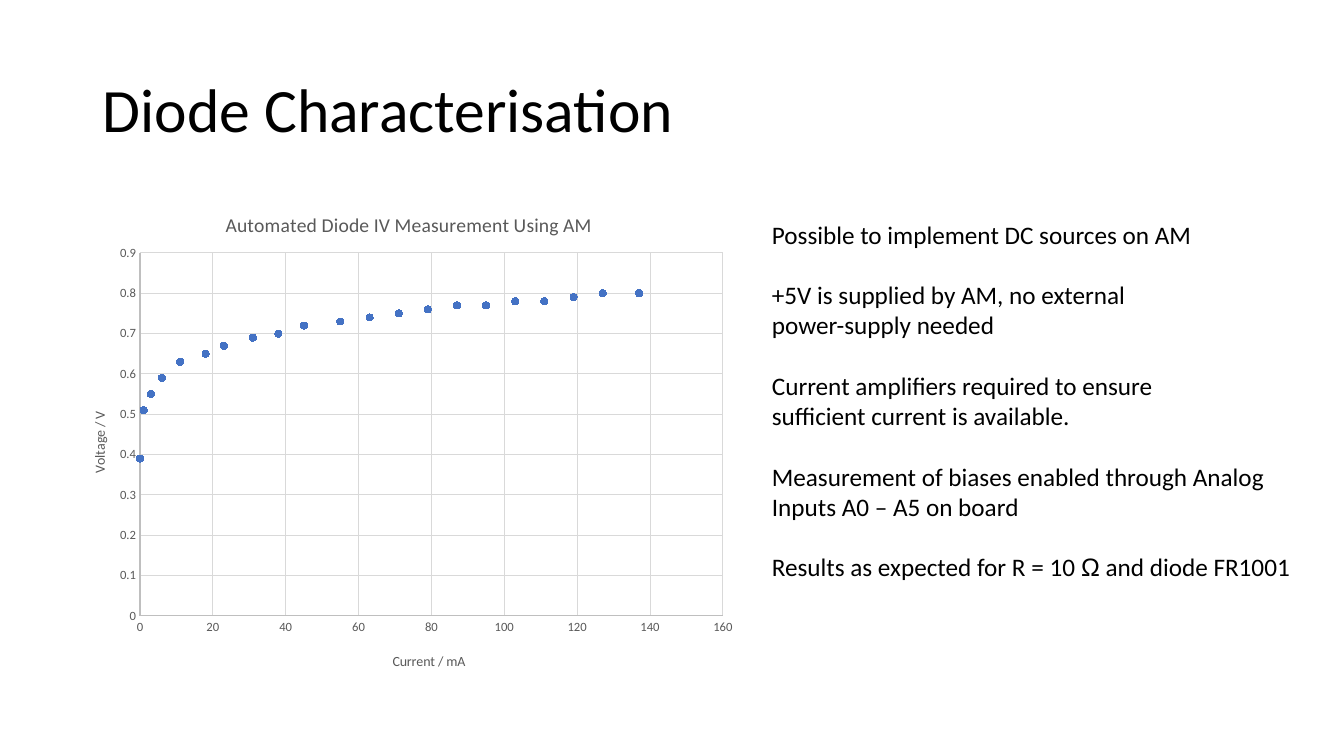
from pptx import Presentation
from pptx.chart.data import XyChartData
from pptx.dml.color import RGBColor
from pptx.enum.chart import XL_CHART_TYPE, XL_MARKER_STYLE, XL_TICK_MARK
from pptx.enum.text import MSO_ANCHOR
from pptx.oxml import parse_xml
from pptx.oxml.ns import nsdecls, qn
from pptx.util import Pt

PX = 9071
SCATTER = XL_CHART_TYPE.XY_SCATTER
CIRCLE = XL_MARKER_STYLE.CIRCLE
NO_TICK = XL_TICK_MARK.NONE
MIDDLE = MSO_ANCHOR.MIDDLE
LEFT, TOP, WIDE, HIGH = 65, 186, 682, 500
hue = RGBColor.from_string


def style(font, size, color, face="Calibri"):
    font.size = Pt(size)
    font.name = face
    font.bold = False
    font.color.rgb = hue(color)


def place(node, index, x, y, w=0, h=0):
    old = node.find(qn("c:layout"))
    if old is not None:
        node.remove(old)
    parts = [("xMode", "edge"), ("yMode", "edge"),
             ("x", round((x - LEFT) / WIDE, 4)), ("y", round((y - TOP) / HIGH, 4))]
    if w:
        parts.insert(0, ("layoutTarget", "inner"))
        parts += [("w", round(w / WIDE, 4)), ("h", round(h / HIGH, 4))]
    body = "".join(f'<c:{tag} val="{val}"/>' for tag, val in parts)
    node.insert(index, parse_xml(
        f'<c:layout {nsdecls("c")}><c:manualLayout>{body}</c:manualLayout></c:layout>'))


deck = Presentation()
deck.slide_width = 1344 * PX
deck.slide_height = 756 * PX
slide = deck.slides.add_slide(deck.slide_layouts[6])

head = slide.shapes.add_textbox(93 * PX, 40 * PX, 1159 * PX, 146 * PX).text_frame
head.word_wrap = True
head.vertical_anchor = MIDDLE
para = head.paragraphs[0]
para.line_spacing = 0.9
run = para.add_run()
run.text = "Diode Characterisation"
style(run.font, 44, "000000")

notes = [
    ["Possible to implement DC sources on AM"],
    ["+5V is supplied by AM, no external", "power-supply needed"],
    ["Current amplifiers required to ensure ", "sufficient current is available."],
    ["Measurement of biases enabled through Analog", "Inputs A0 – A5 on board"],
    ["Results as expected for R = 10 Ω and diode FR1001"],
]
frame = slide.shapes.add_textbox(762 * PX, 214 * PX, 548 * PX, 377 * PX).text_frame
frame.word_wrap = False
for i, lines in enumerate(notes):
    para = frame.paragraphs[0] if i == 0 else frame.add_paragraph()
    if i:
        para.space_before = Pt(21.6)
    for j, line in enumerate(lines):
        if j:
            para.add_line_break()
        for piece in line.partition("Ω"):
            if piece:
                run = para.add_run()
                run.text = piece
                style(run.font, 18, "000000", "Arial" if piece == "Ω" else "Calibri")

amps = [0, 1, 3, 6, 11, 18, 23, 31, 38, 45, 55, 63, 71, 79, 87, 95, 103, 111, 119, 127, 137]
volts = [0.39, 0.51, 0.55, 0.59, 0.63, 0.65, 0.67, 0.69, 0.7, 0.72, 0.73,
         0.74, 0.75, 0.76, 0.77, 0.77, 0.78, 0.78, 0.79, 0.8, 0.8]
data = XyChartData()
points = data.add_series("Series 1")
for amp, volt in zip(amps, volts):
    points.add_data_point(amp, volt)
chart = slide.shapes.add_chart(
    SCATTER, LEFT * PX, TOP * PX, WIDE * PX, HIGH * PX, data).chart
style(chart.font, 10, "000000")
chart.has_legend = False
chart.has_title = True

across, up = chart.category_axis, chart.value_axis
for axis, top, step in [(across, 160, 20), (up, 0.9, 0.1)]:
    axis.minimum_scale = 0
    axis.maximum_scale = top
    axis.major_unit = step
    axis.major_tick_mark = axis.minor_tick_mark = NO_TICK
    axis.has_major_gridlines = True
    axis.tick_labels.number_format = "General"
    axis.tick_labels.number_format_is_linked = False
    style(axis.tick_labels.font, 9, "595959")
    for rule, color in [(axis.format.line, "BFBFBF"),
                        (axis.major_gridlines.format.line, "D9D9D9")]:
        rule.color.rgb = hue(color)
        rule.width = Pt(0.75)

for title, text, size, x, y in [
    (chart.chart_title, "Automated Diode IV Measurement Using AM", 14, 222, 208),
    (across.axis_title, "Current / mA", 10, 390, 650),
    (up.axis_title, "Voltage / V", 10, 88, 409),
]:
    run = title.text_frame.paragraphs[0].add_run()
    run.text = text
    style(run.font, size, "595959")
    place(title.element, 1, x, y)
turn = up.axis_title.element.find(".//" + qn("a:bodyPr"))
turn.set("rot", "-5400000")
turn.set("vert", "horz")
place(chart.element.find(".//" + qn("c:plotArea")), 0, 140, 253, 583, 363)

dots = chart.plots[0].series[0]
dots.smooth = False
dots.format.line.fill.background()
dots.marker.style = CIRCLE
dots.marker.size = 5
dots.marker.format.fill.solid()
dots.marker.format.fill.fore_color.rgb = hue("4472C4")
dots.marker.format.line.color.rgb = hue("4472C4")
chart.plots[0].vary_by_categories = False

deck.save("out.pptx")
